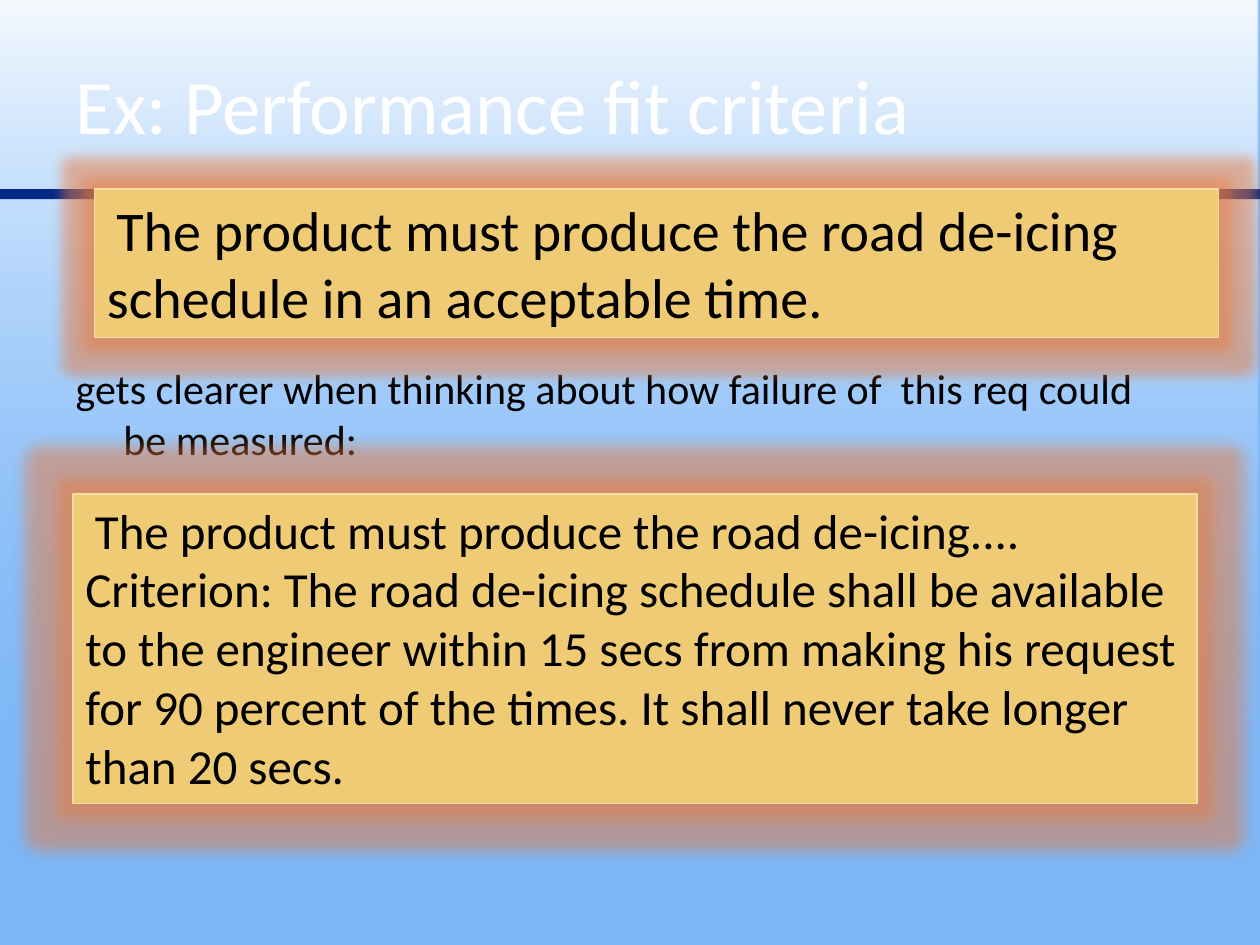
from lxml.etree import fromstring
from pptx import Presentation
from pptx.dml.color import RGBColor
from pptx.enum.shapes import MSO_SHAPE
from pptx.enum.text import MSO_ANCHOR, PP_ALIGN
from pptx.util import Inches, Pt

# Content
TITLE = "Ex: Performance fit criteria"
BODY = "gets clearer when thinking about how failure of  this req could be measured:"
# Requirement boxes: (left, top, width, height), text size, glow radius, paragraphs
BOXES = [
    ((0.75, 1.5, 8.92, 1.18), 32, 0.19,
     ["The product must produce the road de-icing",
      "schedule in an acceptable time."]),
    ((0.58, 3.92, 8.92, 2.46), 28, 0.25,
     ["The product must produce the road de-icing....",
      "Criterion: The road de-icing schedule shall be available to the engineer "
      "within 15 secs from making his request for 90 percent of the times. "
      "It shall never take longer than 20 secs."]),
]

FONT = "Calibri"
COLORS = {"sky": "7CB7F8", "white": "FFFFFF", "navy": "042986", "black": "000000",
          "box": "EFCB76", "edge": "F4DCA4", "glow": "EA7A3C"}
NS = 'xmlns:a="http://schemas.openxmlformats.org/drawingml/2006/main"'


def rgb(name):
    return RGBColor.from_string(COLORS[name])


def place(sp, left, top, width, height):
    sp.left, sp.top = Inches(left), Inches(top)
    sp.width, sp.height = Inches(width), Inches(height)


def add_run(p, text, size=24, color="black"):
    r = p.add_run()
    r.text = text
    r.font.name, r.font.size = FONT, Pt(size)
    r.font.color.rgb = rgb(color)
    return r


def add_rect(s, box, fill, line=None):
    sp = s.shapes.add_shape(MSO_SHAPE.RECTANGLE, *(Inches(v) for v in box))
    sp.shadow.inherit = False
    sp.fill.solid()
    sp.fill.fore_color.rgb = rgb(fill)
    if line:
        sp.line.color.rgb = rgb(line)
        sp.line.width = Pt(0.75)
    else:
        sp.line.fill.background()
    return sp


def fade_upwards(sp):
    """Gradient from clear sky blue at the bottom to nearly solid white on top."""
    stops = "".join(
        f'<a:gs pos="{pos * 1000}"><a:srgbClr val="{COLORS[c]}">'
        f'<a:alpha val="{alpha * 1000}"/></a:srgbClr></a:gs>'
        for pos, c, alpha in [(1, "sky", 0), (100, "white", 92)])
    grad = fromstring(f'<a:gradFill {NS} rotWithShape="1"><a:gsLst>{stops}</a:gsLst>'
                      '<a:lin ang="16200000" scaled="0"/></a:gradFill>')
    solid = sp._element.spPr.find("{*}solidFill")
    solid.getparent().replace(solid, grad)


def add_glow(sp, radius):
    effects = sp._element.spPr.find("{*}effectLst")
    effects.append(fromstring(
        f'<a:glow {NS} rad="{Inches(radius)}"><a:srgbClr val="{COLORS["glow"]}">'
        '<a:alpha val="50000"/></a:srgbClr></a:glow>'))


prs = Presentation()
prs.slide_width, prs.slide_height = Inches(10), Inches(7.5)
s = prs.slides.add_slide(prs.slide_layouts[1])
s.background.fill.solid()
s.background.fill.fore_color.rgb = rgb("sky")
title, body = s.shapes.title, s.placeholders[1]

# Backdrop, kept behind the placeholders
fade_upwards(add_rect(s, (-0.01, 0, 10, 6.88), "sky"))
add_rect(s, (0, 1.5, 10, 0.08), "navy")
for sp in (title, body):
    s.shapes._spTree.append(sp._element)

# Title
place(title, 0.5, 0.2, 9, 1.25)
title.text_frame.vertical_anchor = MSO_ANCHOR.MIDDLE
p = title.text_frame.paragraphs[0]
p.alignment = PP_ALIGN.LEFT
add_run(p, TITLE, size=44, color="white")

# Body with a hanging indent and no bullet
place(body, 0.5, 2.83, 9, 1.25)
p = body.text_frame.paragraphs[0]
add_run(p, BODY)
pPr = p._p.get_or_add_pPr()
pPr.set("marL", str(Inches(0.38)))
pPr.set("indent", str(Inches(-0.38)))
pPr.append(fromstring(f"<a:buNone {NS}/>"))

# Requirement boxes
for box, size, radius, paragraphs in BOXES:
    sp = add_rect(s, box, "box", line="edge")
    add_glow(sp, radius)
    tf = sp.text_frame
    tf.word_wrap = True
    tf.vertical_anchor = MSO_ANCHOR.TOP
    for i, text in enumerate(paragraphs):
        p = tf.add_paragraph() if i else tf.paragraphs[0]
        p.alignment = PP_ALIGN.LEFT
        if i == 0:
            add_run(p, " ")
        add_run(p, text, size=size)

prs.save("out.pptx")
